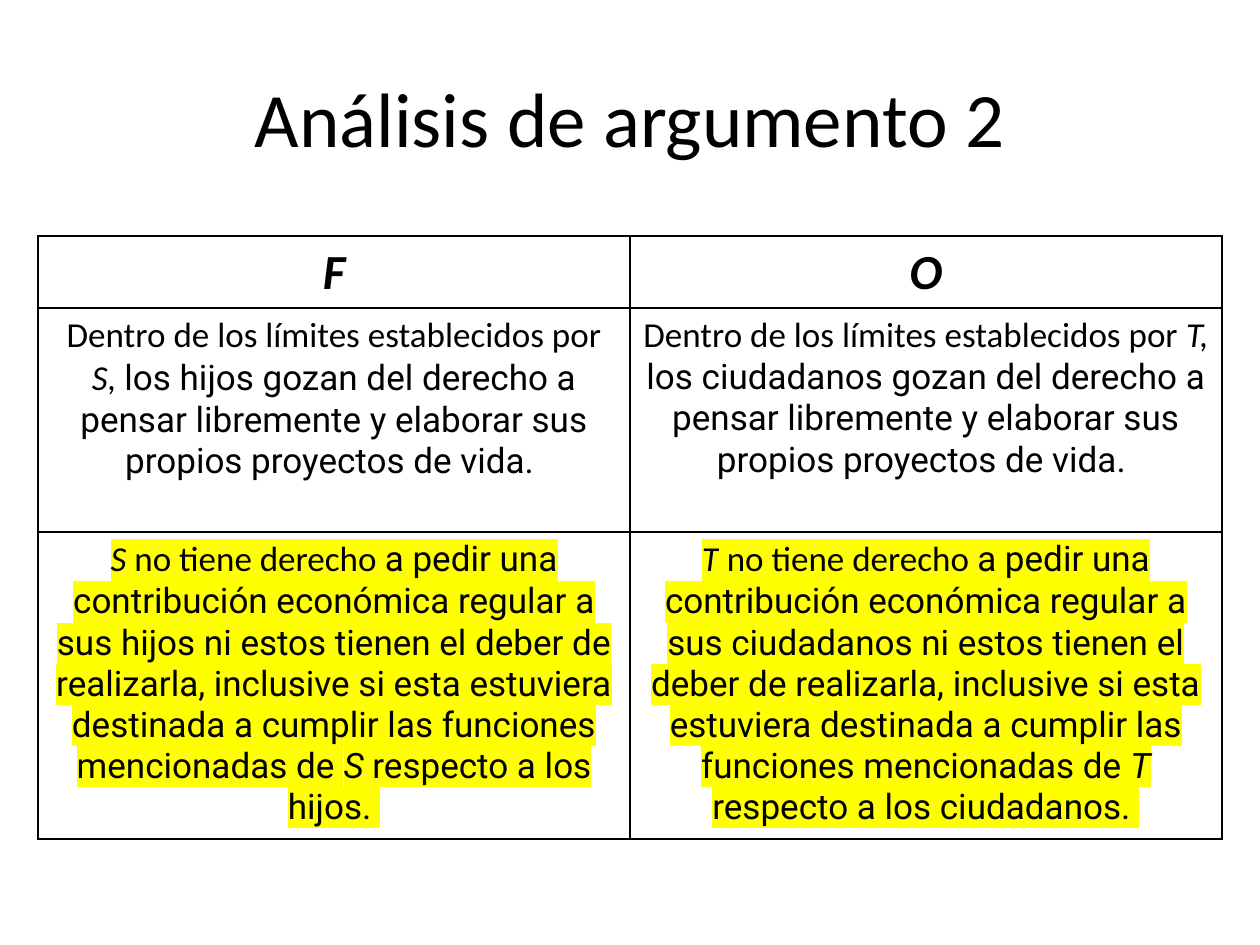
from lxml import etree
from pptx import Presentation
from pptx.dml.color import RGBColor
from pptx.enum import text
from pptx.oxml import ns
from pptx.util import Cm, Pt

HUES = {"ink": "000000", "mark": "FFFF00"}
SANS, BODY = "Calibri", "Roboto"
HEADS = ["F", "O"]
SIDES = [("S", "hijos"), ("T", "ciudadanos")]
ROWS = [1.45, 4.52, 6.1]


def rights(name, group):
    """Runs of the middle row: words, font, italic."""
    return [
        ("Dentro de los límites establecidos por ", SANS, False),
        (f"{name}, ", SANS, True),
        (f"los {group} gozan del derecho a pensar libremente y elaborar "
         "sus propios proyectos de vida. ", BODY, False),
    ]


def duties(name, group):
    """Runs of the last row: words, font, italic."""
    return [
        (name, SANS, True),
        (" no tiene derecho ", SANS, False),
        (f"a pedir una contribución económica regular a sus {group} ni estos "
         "tienen el deber de realizarla, inclusive si esta estuviera destinada "
         "a cumplir las funciones mencionadas de ", BODY, False),
        (name, BODY, True),
        (f" respecto a los {group}. ", BODY, False),
    ]


def add_fill(node, tag, hue):
    """Append a colour element to an XML node."""
    part = etree.SubElement(node, ns.qn(tag))
    etree.SubElement(part, ns.qn("a:srgbClr"), val=HUES[hue])


def style(para, size):
    para.alignment = text.PP_ALIGN.CENTER
    para.font.size = Pt(size)
    para.font.color.rgb = RGBColor.from_string(HUES["ink"])


def write(para, runs, marked=False):
    style(para, 20)
    for words, face, slant in runs:
        run = para.add_run()
        run.text = words
        if marked:
            add_fill(run.font._element, "a:highlight", "mark")
        run.font.name = face
        run.font.italic = slant


def frame(cell):
    """Give a cell thin black borders and no fill."""
    props = cell._tc.get_or_add_tcPr()
    for side in "LRTB":
        line = etree.SubElement(props, ns.qn(f"a:ln{side}"), w=str(Pt(1)))
        add_fill(line, "a:solidFill", "ink")
    cell.fill.background()


def add_title(slide, left, top, width, height):
    box = slide.shapes.add_textbox(Cm(left), Cm(top), Cm(width), Cm(height))
    body = box.text_frame
    body.word_wrap = True
    body.vertical_anchor = text.MSO_ANCHOR.MIDDLE
    para = body.paragraphs[0]
    para.text = "Análisis de argumento 2"
    style(para, 44)
    para.font.name = SANS


def add_grid(slide, left, top, width):
    shape = slide.shapes.add_table(len(ROWS), len(SIDES), Cm(left), Cm(top),
                                   Cm(width), Cm(sum(ROWS)))
    grid = shape.table
    grid.first_row = grid.horz_banding = False
    for row, height in zip(grid.rows, ROWS):
        row.height = Cm(height)
    for cell in grid.iter_cells():
        frame(cell)
    for col, (head, side) in enumerate(zip(HEADS, SIDES)):
        top_para, mid_para, end_para = (
            grid.cell(row, col).text_frame.paragraphs[0]
            for row in range(len(ROWS)))
        top_para.text = head
        style(top_para, 28)
        top_para.font.name = SANS
        top_para.font.bold = top_para.font.italic = True
        write(mid_para, rights(*side))
        write(end_para, duties(*side), marked=True)


def main():
    deck = Presentation()
    deck.slide_width, deck.slide_height = Cm(25.4), Cm(19.05)
    slide = deck.slides.add_slide(deck.slide_layouts[6])
    add_title(slide, 1.27, 0.76, 22.86, 3.18)
    add_grid(slide, 0.77, 4.76, 23.86)
    deck.save("out.pptx")


if __name__ == "__main__":
    main()
